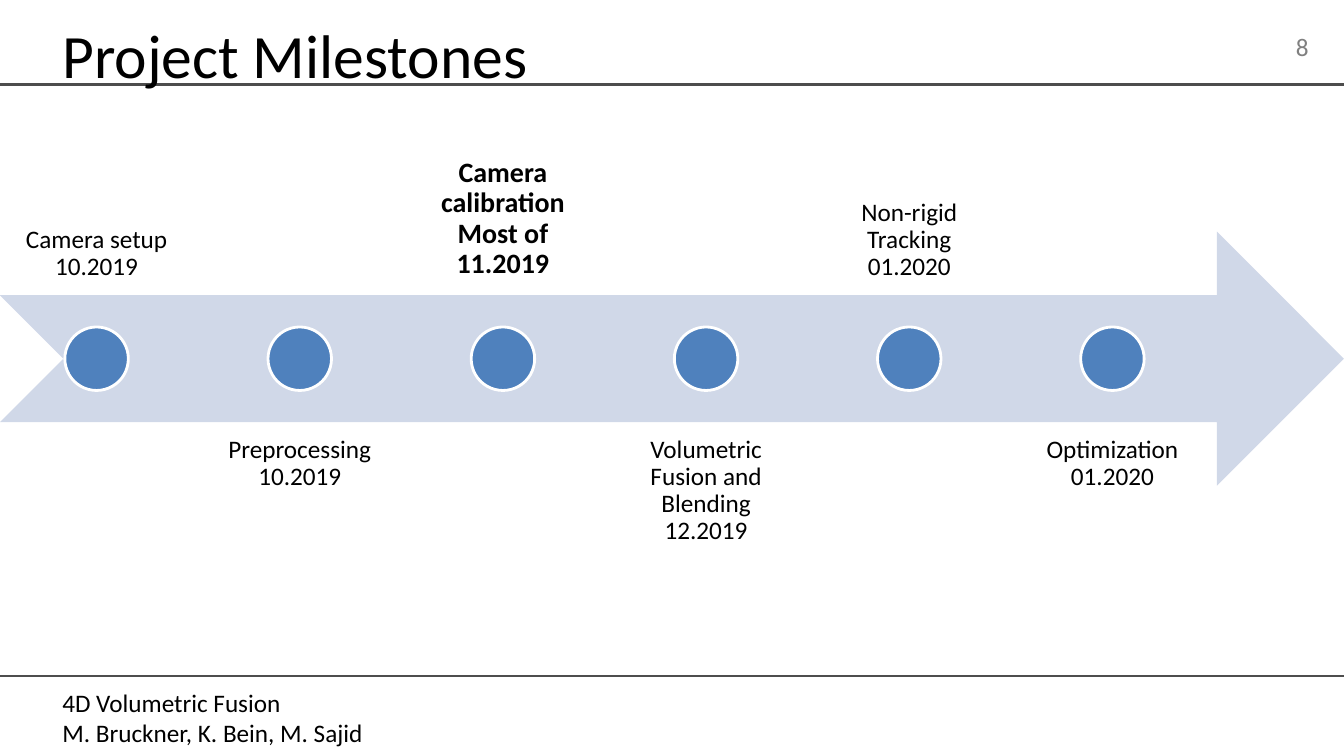
from lxml import etree
from pptx import Presentation
from pptx.dml.color import RGBColor
from pptx.enum import shapes, text
from pptx.oxml import ns
from pptx.util import Cm, Pt

TITLE = "Project Milestones"
PAGE_NUMBER = "8"
FOOTER = ["4D Volumetric Fusion", "M. Bruckner, K. Bein, M. Sajid"]
MILESTONES = [
    ("Camera setup", "10.2019"),
    ("Preprocessing", "10.2019"),
    ("Camera calibration", "Most of 11.2019"),
    ("Volumetric Fusion and Blending", "12.2019"),
    ("Non-rigid Tracking", "01.2020"),
    ("Optimization", "01.2020"),
]
CURRENT = 2

BLACK = RGBColor(0x00, 0x00, 0x00)
GRAY = RGBColor(0x80, 0x80, 0x80)
RULE = RGBColor(0x4D, 0x4D, 0x4D)
WHITE = RGBColor(0xFF, 0xFF, 0xFF)
PALE_BLUE = RGBColor(0xD0, 0xD8, 0xE8)
BLUE = RGBColor(0x4F, 0x81, 0xBD)

WIDTH, HEIGHT = 33.87, 19.05
RULE_TOPS = (17.04, 2.13)
ARROW_TOP, BAND = 5.84, 6.4
LABEL_WIDTH, PITCH = 4.87, 5.12
LABEL_ABOVE, LABEL_BELOW = 1.04, 10.64
DOT = 1.6

TOP, BOTTOM = text.MSO_ANCHOR.TOP, text.MSO_ANCHOR.BOTTOM
LEFT, CENTER, RIGHT = text.PP_ALIGN.LEFT, text.PP_ALIGN.CENTER, text.PP_ALIGN.RIGHT


def add_text(slide, box, lines, size=18, color=BLACK, align=LEFT, anchor=TOP,
             bold=False, inset=None, spacing=None):
    frame = slide.shapes.add_textbox(*map(Cm, box)).text_frame
    frame.word_wrap = True
    frame.vertical_anchor = anchor
    if inset is not None:
        frame.margin_left = frame.margin_right = Cm(inset)
        frame.margin_top = frame.margin_bottom = Cm(inset)
    frame.text = "\n".join(lines)
    for paragraph in frame.paragraphs:
        paragraph.alignment = align
        paragraph.line_spacing = spacing
        paragraph.font.name = "Calibri"
        paragraph.font.size = Pt(size)
        paragraph.font.bold = bold
        paragraph.font.color.rgb = color


def add_filled(slide, kind, box, color):
    shape = slide.shapes.add_shape(kind, *map(Cm, box))
    shape.shadow.inherit = False
    shape.fill.solid()
    shape.fill.fore_color.rgb = color
    shape.line.fill.background()
    return shape


def add_rule(slide, top):
    rule = slide.shapes.add_connector(
        shapes.MSO_CONNECTOR.STRAIGHT, Cm(0), Cm(top), Cm(WIDTH), Cm(top))
    rule.line.color.rgb = RULE
    rule.line.width = Pt(1.5)
    etree.SubElement(rule._element.spPr, ns.qn("a:effectLst"))


def add_milestone(slide, index, lines):
    left = index * PITCH
    above = index % 2 == 0
    current = index == CURRENT
    add_text(slide, (left, LABEL_ABOVE if above else LABEL_BELOW, LABEL_WIDTH, BAND),
             lines, size=20 if current else 18, align=CENTER,
             anchor=BOTTOM if above else TOP, bold=current,
             inset=0.4 if current else 0.36, spacing=0.9)
    dot = add_filled(slide, shapes.MSO_SHAPE.OVAL,
                     (left + (LABEL_WIDTH - DOT) / 2, ARROW_TOP + (BAND - DOT) / 2, DOT, DOT),
                     BLUE)
    dot.line.color.rgb = WHITE
    dot.line.width = Pt(2)


def main():
    presentation = Presentation()
    presentation.slide_width, presentation.slide_height = Cm(WIDTH), Cm(HEIGHT)
    slide = presentation.slides.add_slide(presentation.slide_layouts[6])
    for top in RULE_TOPS:
        add_rule(slide, top)
    add_text(slide, (1.32, 17.2, 23.93, 1.8), FOOTER)
    add_text(slide, (31.5, 0.66, 1.73, 1.02), [PAGE_NUMBER], color=GRAY, align=RIGHT)
    add_text(slide, (1.32, 0, 24.23, 2.41), [TITLE], size=44, anchor=BOTTOM)
    add_filled(slide, shapes.MSO_SHAPE.NOTCHED_RIGHT_ARROW,
               (0, ARROW_TOP, WIDTH, BAND), PALE_BLUE)
    for index, lines in enumerate(MILESTONES):
        add_milestone(slide, index, lines)
    presentation.save("out.pptx")


if __name__ == "__main__":
    main()
